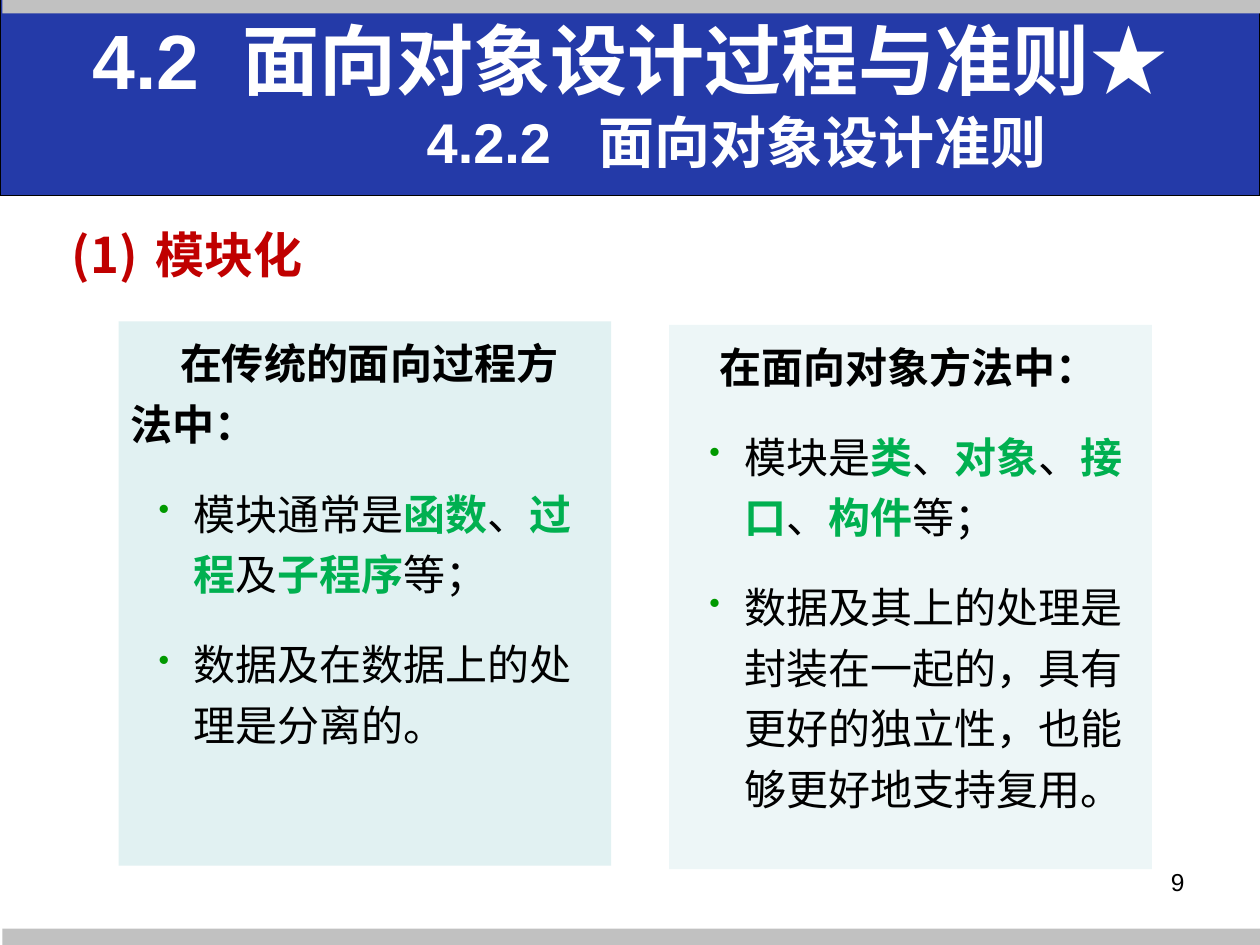
"""Build the slide on the modularity guideline of object-oriented design."""
import dataclasses

import pptx
import pptx.dml.color
import pptx.enum.shapes
import pptx.enum.text
import pptx.oxml.ns
import pptx.util
from lxml import etree

Cm, Pt = pptx.util.Cm, pptx.util.Pt
RGB = pptx.dml.color.RGBColor.from_string
qn = pptx.oxml.ns.qn
RECT = pptx.enum.shapes.MSO_SHAPE.RECTANGLE
ALIGN = pptx.enum.text.PP_ALIGN
ANCHOR = pptx.enum.text.MSO_ANCHOR


@dataclasses.dataclass(frozen=True)
class Theme:
    latin: str = "Arial"
    cjk: str = "Noto Sans CJK SC"
    banner: str = "243AA8"
    bar: str = "C1C1C1"
    panel: str = "BBE0E3"
    white: str = "FFFFFF"
    text: str = "000000"
    heading: str = "C00000"
    accent: str = "00B050"
    bullet: str = "009900"
    title_size: int = 44
    subtitle_size: int = 32
    heading_size: int = 28
    text_size: int = 24
    number_size: int = 14


T = Theme()


def style(r, size, color, bold=False, latin=T.cjk):
    r.font.size, r.font.bold, r.font.name = Pt(size), bold, latin
    r.font.color.rgb = RGB(color)
    etree.SubElement(r.font._element, qn("a:ea"), typeface=T.cjk)


def layout(p, left, indent, after=0, bullet=None, color=None, **mark):
    p.line_spacing, p.space_before, p.space_after = 1.2, Pt(5), Pt(after)
    pPr = p._p.get_or_add_pPr()
    pPr.set("marL", str(Cm(left)))
    pPr.set("indent", str(Cm(indent)))
    if bullet:
        clr = etree.SubElement(pPr, qn("a:buClr"))
        etree.SubElement(clr, qn("a:srgbClr"), val=color)
        if bullet == "buChar":
            etree.SubElement(pPr, qn("a:buSzPct"), val="75000")
        etree.SubElement(pPr, qn("a:" + bullet), **mark)


prs = pptx.Presentation()
prs.slide_width, prs.slide_height = Cm(25.4), Cm(19.05)
s = prs.slides.add_slide(prs.slide_layouts[1])
title, body = s.shapes.title, s.placeholders[1]

bars = [
    (0, -0.05, 25.4, 3.99, T.banner),
    (0.05, 18.72, 25.35, 0.33, T.bar),
    (0.05, -0.03, 25.4, 0.3, T.bar),
]
for i, (x, y, w, h, color) in enumerate(bars):
    sp = s.shapes.add_shape(RECT, Cm(x), Cm(y), Cm(w), Cm(h))
    sp.shadow.inherit = False
    sp.fill.solid()
    sp.fill.fore_color.rgb = RGB(color)
    if color == T.banner:
        sp.line.color.rgb, sp.line.width = RGB(T.text), Pt(0.75)
    else:
        sp.line.fill.background()
    s.shapes._spTree.insert(2 + i, sp._element)

title.left, title.top, title.width, title.height = Cm(1.27), Cm(0.58), Cm(22.86), Cm(3.18)
tf = title.text_frame
tf.auto_size = pptx.enum.text.MSO_AUTO_SIZE.NONE
tf.vertical_anchor = ANCHOR.TOP
tf.text = "4.2  面向对象设计过程与准则\n4.2.2   面向对象设计准则"
star = tf.paragraphs[0].add_run()
star.text = "★"
for p, size in zip(tf.paragraphs, (T.title_size, T.subtitle_size)):
    p.alignment, p.line_spacing = ALIGN.CENTER, Pt(40)
    for r in p.runs:
        style(r, size, T.white, True, T.cjk if r.text == "★" else T.latin)
tf.paragraphs[1]._p.get_or_add_pPr().set("marL", str(Cm(4.3)))

body.left, body.top, body.width, body.height = Cm(1.19), Cm(4.17), Cm(22.86), Cm(12.57)
tf = body.text_frame
tf.text = "模块化"
p = tf.paragraphs[0]
layout(p, 1.7, -1.7, 0, "buAutoNum", T.heading, type="arabicParenBoth")
style(p.runs[0], T.heading_size, T.heading, True)

panels = [
    (2.39, 6.48, 9.93, 44, (0, 0.99), "在传统的面向过程方法中：",
     ["模块通常是*函数*、*过程*及*子程序*等；", "数据及在数据上的处理是分离的。"]),
    (13.49, 6.55, 9.73, 26, (1.7, -0.94), "在面向对象方法中：",
     ["模块是*类*、*对象*、*接口*、*构件*等；",
      "数据及其上的处理是封装在一起的，具有更好的独立性，也能够更好地支持复用。"]),
]
for x, y, w, alpha, indents, heading, points in panels:
    sp = s.shapes.add_shape(RECT, Cm(x), Cm(y), Cm(w), Cm(10.97))
    sp.shadow.inherit = False
    sp.line.fill.background()
    sp.fill.solid()
    sp.fill.fore_color.rgb = RGB(T.panel)
    clr = sp._element.spPr.find(qn("a:solidFill"))[0]
    etree.SubElement(clr, qn("a:alpha"), val=str(alpha * 1000))
    tf = sp.text_frame
    tf.word_wrap, tf.vertical_anchor = True, ANCHOR.TOP
    tf.text = heading
    p = tf.paragraphs[0]
    p.alignment = ALIGN.LEFT
    layout(p, *indents, after=12)
    style(p.runs[0], T.text_size, T.text, True)
    for point in points:
        p = tf.add_paragraph()
        p.alignment = ALIGN.LEFT
        layout(p, 1.27, -0.71, 12, "buChar", T.bullet, char="•")
        for i, part in enumerate(point.split("*")):
            r = p.add_run()
            r.text = part
            key = i % 2 == 1
            style(r, T.text_size, T.accent if key else T.text, key)

tb = s.shapes.add_textbox(Cm(18.21), Cm(17.35), Cm(5.92), Cm(1.32))
tf = tb.text_frame
tf.word_wrap = True
tf.text = "9"
p = tf.paragraphs[0]
p.alignment = ALIGN.RIGHT
style(p.runs[0], T.number_size, T.text, latin=T.latin)

prs.save("out.pptx")
